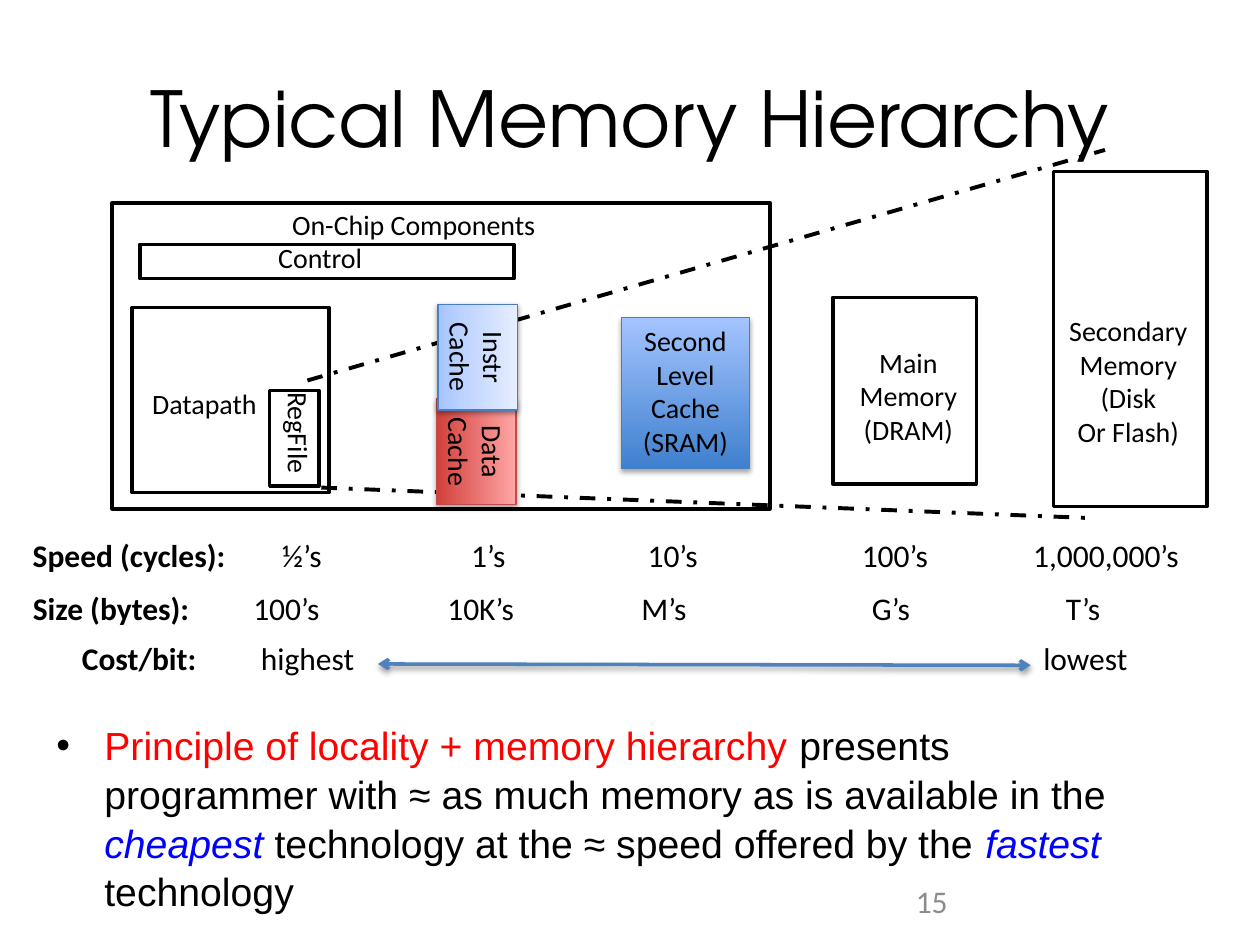
from dataclasses import dataclass

from lxml.etree import SubElement
from pptx import Presentation
from pptx.dml.color import RGBColor
from pptx.enum.dml import MSO_LINE
from pptx.enum.shapes import MSO_CONNECTOR, MSO_SHAPE
from pptx.enum.text import MSO_ANCHOR, MSO_AUTO_SIZE, PP_ALIGN
from pptx.oxml.ns import qn
from pptx.util import Inches, Pt

BLACK = RGBColor(0x00, 0x00, 0x00)
RED = RGBColor(0xFF, 0x00, 0x00)
BLUE = RGBColor(0x00, 0x00, 0xFF)
GRAY = RGBColor(0x8C, 0x8C, 0x8C)
ARROW_BLUE = RGBColor(0x4F, 0x81, 0xBD)
BLUE_EDGE = RGBColor(0x4B, 0x7E, 0xBC)
RED_EDGE = RGBColor(0xBF, 0x4C, 0x48)

# Gradient stops: (percent, colour)
DEEP_BLUE = [(0, RGBColor(0x3F, 0x80, 0xCE)), (100, RGBColor(0xA4, 0xC4, 0xFF))]
PALE_BLUE = [(0, RGBColor(0xA4, 0xC4, 0xFF)), (35, RGBColor(0xBF, 0xD4, 0xFF)),
             (100, RGBColor(0xE6, 0xEE, 0xFF))]
DEEP_RED = [(0, RGBColor(0xD1, 0x40, 0x3C)), (100, RGBColor(0xFF, 0xA6, 0xA5))]


@dataclass
class Box:
    left: float
    top: float
    width: float
    height: float

    def inner(self, left, top, width, height):
        """A box placed relative to this one's top left corner."""
        return Box(self.left + left, self.top + top, width, height)

    def lengths(self):
        return [Inches(v) for v in (self.left, self.top, self.width, self.height)]


def style_font(font, size, color=BLACK, name="Calibri"):
    font.size, font.name = Pt(size), name
    font.color.rgb = color


def write_lines(frame, lines, size=16, align=PP_ALIGN.CENTER, wrap=False,
                color=BLACK, name="Calibri"):
    frame.word_wrap = wrap
    frame.auto_size = MSO_AUTO_SIZE.NONE if wrap else MSO_AUTO_SIZE.SHAPE_TO_FIT_TEXT
    frame.text = "\n".join(lines)
    for para in frame.paragraphs:
        para.alignment = align
        style_font(para.font, size, color, name)


def add_label(page, box, *lines, **options):
    label = page.shapes.add_textbox(*box.lengths())
    write_lines(label.text_frame, lines, **options)
    return label


def add_frame(page, box):
    frame = page.shapes.add_shape(MSO_SHAPE.RECTANGLE, *box.lengths())
    frame.shadow.inherit = False
    frame.fill.background()
    frame.line.color.rgb, frame.line.width = BLACK, Pt(2)


def add_shadow(shape, opacity, distance):
    properties = shape._element.spPr
    for old in properties.findall(qn("a:effectLst")):
        properties.remove(old)
    effects = SubElement(properties, qn("a:effectLst"))
    shadow = SubElement(effects, qn("a:outerShdw"), blurRad=str(Pt(3.1)),
                        dist=str(Pt(distance)), dir="5400000", rotWithShape="0")
    color = SubElement(shadow, qn("a:srgbClr"), val="000000")
    SubElement(color, qn("a:alpha"), val=str(opacity * 1000))


def add_cache(page, box, lines, stops, edge, rotation=0, opacity=35, distance=1.8):
    cache = page.shapes.add_shape(MSO_SHAPE.RECTANGLE, *box.lengths())
    cache.rotation = rotation
    cache.fill.gradient()
    cache.fill.gradient_angle = 90
    stop_list = cache._element.spPr.find(".//" + qn("a:gsLst"))
    for old in list(stop_list):
        stop_list.remove(old)
    for percent, color in stops:
        stop = SubElement(stop_list, qn("a:gs"), pos=str(percent * 1000))
        SubElement(stop, qn("a:srgbClr"), val=str(color))
    cache.line.color.rgb, cache.line.width = edge, Pt(0.75)
    add_shadow(cache, opacity, distance)
    write_lines(cache.text_frame, lines)
    cache.text_frame.vertical_anchor = MSO_ANCHOR.TOP


def add_line(page, start, end, color, width):
    line = page.shapes.add_connector(
        MSO_CONNECTOR.STRAIGHT, *[Inches(v) for v in (*start, *end)])
    line.line.color.rgb, line.line.width = color, Pt(width)
    SubElement(line._element.spPr, qn("a:effectLst"))
    return line


def draw_processor(page, box):
    """Chip outline with control, datapath and register file."""
    add_frame(page, box)
    left = PP_ALIGN.LEFT
    add_label(page, box.inner(1.33, -0.01, 2.35, 0.36), "On-Chip Components", align=left)
    add_frame(page, box.inner(0.22, 0.33, 2.97, 0.27))
    add_label(page, box.inner(1.22, 0.25, 0.91, 0.36), "Control", align=left)
    add_frame(page, box.inner(0.16, 0.83, 1.56, 1.47))
    add_label(page, box.inner(0.22, 1.41, 1.1, 0.36), "Datapath", align=left)
    add_frame(page, box.inner(1.25, 1.49, 0.39, 0.76))
    register = add_label(page, box.inner(0.93, 1.78, 1.11, 0.36), "RegFile",
                         align=left, wrap=True)
    register.rotation = 90


def draw_caches(page, box):
    add_cache(page, box.inner(4.04, 0.91, 1.02, 1.2),
              ["Second", "Level", "Cache", "(SRAM)"], DEEP_BLUE, BLUE_EDGE)
    add_cache(page, box.inner(2.47, 1.66, 0.84, 0.63), ["Data", "Cache"],
              DEEP_RED, RED_EDGE, rotation=90)
    add_cache(page, box.inner(2.48, 0.91, 0.84, 0.63), ["Instr", "Cache"],
              PALE_BLUE, BLUE_EDGE, rotation=90, opacity=38, distance=1.6)


def draw_off_chip(page, box):
    """Main and secondary memory."""
    add_frame(page, box.inner(0, 1, 1.14, 1.48))
    add_label(page, box.inner(0.1, 1.33, 1, 0.9), "Main", "Memory", "(DRAM)")
    add_frame(page, box.inner(1.75, 0, 1.22, box.height))
    add_label(page, box.inner(1.77, 1.08, 1.15, 1.18),
              "Secondary", "Memory", "(Disk", "Or Flash)", wrap=True)


def draw_measure(page, box, name, values, stops):
    """One row: bold name, then values at tab stops (inches from the text edge)."""
    row = page.shapes.add_textbox(*box.lengths())
    frame = row.text_frame
    frame.word_wrap = True
    frame.margin_left = frame.margin_right = Inches(0.07)
    frame.margin_top = frame.margin_bottom = Inches(0.03)
    para = frame.paragraphs[0]
    para.line_spacing = 0.85
    tabs = SubElement(para._p.get_or_add_pPr(), qn("a:tabLst"))
    for stop in stops:
        SubElement(tabs, qn("a:tab"), pos=str(Inches(stop)), algn="l")
    style_font(para.font, 18)
    heading = para.add_run()
    heading.text, heading.font.bold = name, True
    para.add_run().text = "".join("\t" + value for value in values)


def draw_measures(page, box):
    draw_measure(page, box.inner(0, 0, 9.43, 0.32), "Speed (cycles):",
                 ["½’s", "1’s", "10’s", "100’s", "1,000,000’s"],
                 [1.98, 3.48, 4.88, 6.58, 7.94])
    draw_measure(page, box.inner(0, 0.42, 8.71, 0.32), "Size (bytes):",
                 ["100’s", "10K’s", "M’s", "G’s", "T’s"],
                 [1.75, 3.29, 4.83, 6.66, 8.2])
    draw_measure(page, box.inner(0.39, 0.82, 8.62, 0.32), "Cost/bit:",
                 ["highest", "lowest"], [1.42, 7.63])
    arrow = add_line(page, (box.left + 2.81, box.top + 1), (box.left + 7.99, box.top + 1.01),
                     ARROW_BLUE, 2)
    outline = arrow._element.spPr.find(qn("a:ln"))
    for end in ("a:headEnd", "a:tailEnd"):
        SubElement(outline, qn(end), type="arrow")
    add_shadow(arrow, 38, 1.6)


def draw_principle(page, box):
    frame = page.shapes.add_textbox(*box.lengths()).text_frame
    frame.word_wrap = True
    para = frame.paragraphs[0]
    para.line_spacing = 1.04
    layout = para._p.get_or_add_pPr()
    layout.set("marL", str(Inches(0.38)))
    layout.set("indent", str(Inches(-0.38)))
    bullet_color = SubElement(layout, qn("a:buClr"))
    SubElement(bullet_color, qn("a:srgbClr"), val=str(BLACK))
    SubElement(layout, qn("a:buFont"), typeface="Arial")
    SubElement(layout, qn("a:buChar"), char="•")
    style_font(para.font, 22.4, name="Arial")
    for text, color in [
        ("Principle of locality + memory hierarchy ", RED),
        ("presents programmer with ≈ as much memory as is available in the ", BLACK),
        ("cheapest ", BLUE),
        ("technology at the ≈ speed offered by the ", BLACK),
        ("fastest ", BLUE),
        ("technology", BLACK),
    ]:
        span = para.add_run()
        span.text = text
        span.font.color.rgb = color
        span.font.italic = color == BLUE


def main():
    deck = Presentation()
    deck.slide_width, deck.slide_height = Inches(10), Inches(7.5)
    page = deck.slides.add_slide(deck.slide_layouts[6])

    title = add_label(page, Box(0.5, 0.3, 9, 1.25), "Typical Memory Hierarchy",
                      size=44, wrap=True, name="TeX Gyre Adventor")
    title.text_frame.vertical_anchor = MSO_ANCHOR.MIDDLE

    chip = Box(0.89, 1.61, 5.22, 2.43)
    draw_processor(page, chip)
    draw_off_chip(page, Box(6.61, 1.36, 2.97, 2.66))
    # Widening guides from the register file to secondary memory
    for start, end in [((2.44, 3.02), (8.77, 1.19)), ((2.55, 3.87), (8.61, 4.11))]:
        guide = add_line(page, start, end, BLACK, 2.25)
        guide.line.dash_style = MSO_LINE.DASH_DOT
    draw_caches(page, chip)

    draw_measures(page, Box(0.19, 4.27, 9.43, 1.14))
    draw_principle(page, Box(0.35, 5.66, 9, 1.31))
    add_label(page, Box(7.17, 6.95, 2.33, 0.4), "15", size=18,
              align=PP_ALIGN.LEFT, wrap=True, color=GRAY)
    deck.save("out.pptx")


if __name__ == "__main__":
    main()
